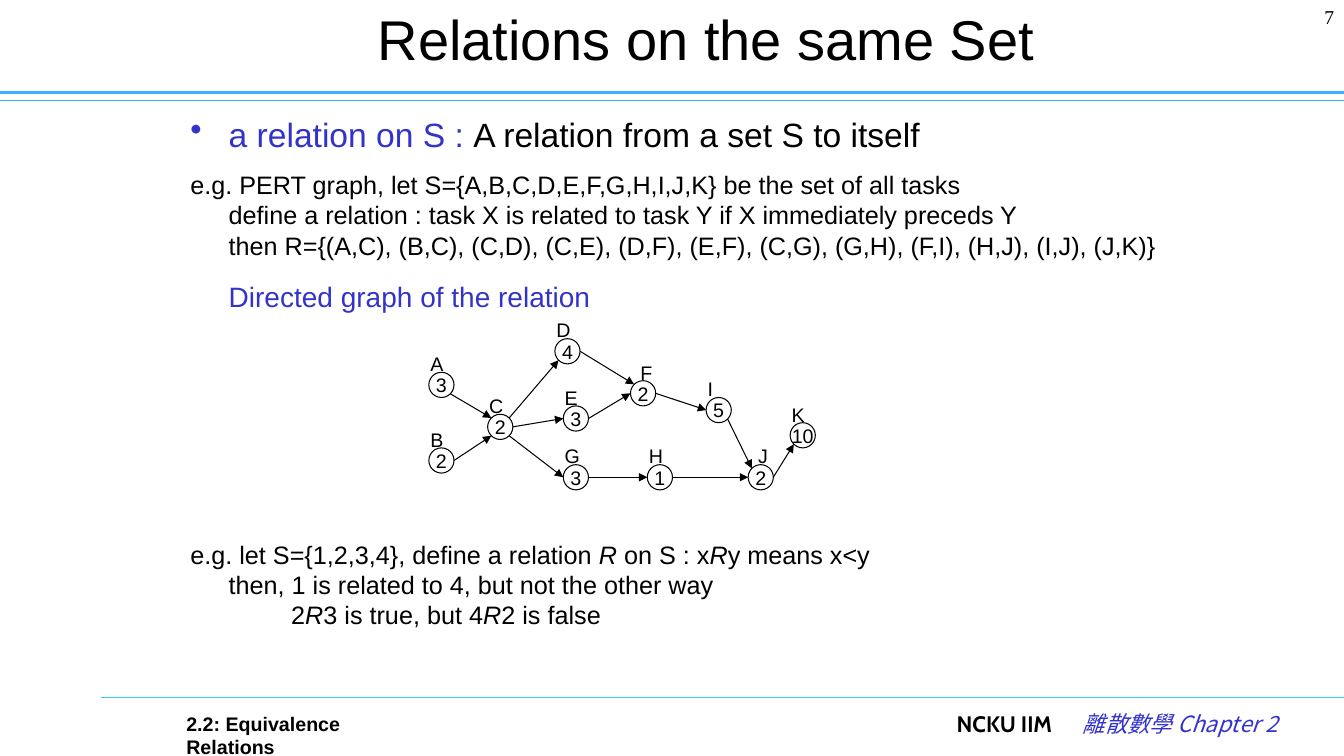
from math import cos, radians, sin

from lxml.etree import SubElement
from pptx import Presentation
from pptx.dml.color import RGBColor
from pptx.enum.shapes import MSO_CONNECTOR, MSO_SHAPE
from pptx.enum.text import MSO_ANCHOR, PP_ALIGN
from pptx.oxml.ns import qn
from pptx.util import Inches, Pt

BLACK = RGBColor(0x00, 0x00, 0x00)
BLUE = RGBColor(0x33, 0x33, 0xCC)
SKY = RGBColor(0x3D, 0xB0, 0xFF)
CYAN = RGBColor(0x33, 0xCC, 0xFF)

UNIT = 1 / 12
SIZE = 3 * UNIT
NODES = {
    "A": (1, 7, 3), "B": (1, 16, 2), "C": (8, 12, 2), "D": (16, 3, 4),
    "E": (17, 11, 3), "F": (25, 8, 2), "G": (17, 18, 3), "H": (27, 18, 1),
    "I": (34, 10, 5), "J": (39, 18, 2), "K": (44, 13, 10),
}
EDGES = {
    "AC": (45, 225), "BC": (0, 135), "CD": (315, 135), "CE": (0, 180),
    "CG": (45, 180), "DF": (0, 225), "EF": (0, 180), "GH": (0, 180),
    "FI": (0, 180), "HJ": (0, 180), "IJ": (45, 225), "JK": (0, 135),
}


def style(thing, values):
    """Set each attribute named in a dict."""
    for key, value in values.items():
        setattr(thing, key, value)


def write(para, text, size, color=BLACK, face="Arial", **more):
    """Append a formatted run to a paragraph."""
    run = para.add_run()
    run.text = text
    style(run.font, {"size": Pt(size), "name": face, **more})
    run.font.color.rgb = color
    SubElement(run.font._element, qn("a:ea"), typeface=face)


def text_box(slide, x, y, w, h, **values):
    """Add a wrapping text box and return its frame."""
    box = slide.shapes.add_textbox(Inches(x), Inches(y), Inches(w), Inches(h))
    style(box.text_frame, {"word_wrap": True, **values})
    return box.text_frame


def draw_line(slide, start, end, color, width, arrow=False):
    """Draw a straight line, with an arrowhead if asked."""
    line = slide.shapes.add_connector(
        MSO_CONNECTOR.STRAIGHT, *(Inches(v) for v in (*start, *end)))
    line.line.color.rgb = color
    line.line.width = Pt(width)
    if arrow:
        SubElement(line.line._get_or_add_ln(), qn("a:tailEnd"), type="triangle")
    SubElement(line._element.spPr, qn("a:effectLst"))


def add_head(slide, x, y, w, h):
    """Place the title, page number and double rule."""
    title = slide.shapes.title
    style(title, {"left": Inches(x + 1.78), "top": Inches(y),
                  "width": Inches(10.44), "height": Inches(0.75)})
    title.text_frame.vertical_anchor = MSO_ANCHOR.MIDDLE
    para = title.text_frame.paragraphs[0]
    para.alignment = PP_ALIGN.CENTER
    write(para, "Relations on the same Set", 40)
    para = text_box(slide, x + w - 1.11, y, 1.11, 0.5).paragraphs[0]
    para.alignment = PP_ALIGN.RIGHT
    write(para, "7", 14, face="Times New Roman")
    for drop, width in ((h, 0.75), (h - 0.08, 2.5)):
        draw_line(slide, (x, y + drop), (x + w, y + drop), SKY, width)


def add_body(slide, x, y, w, h):
    """Write the definition and both examples."""
    rows = [
        (0.38, -0.38, 0, 24, [("a relation on S : ", {"color": BLUE}),
                              ("A relation from a set S to itself", {})]),
        (0.38, -0.38, 11, 18, [("e.g. PERT graph, let S={A,B,C,D,E,F,G,H,I,J,K} "
                                "be the set of all tasks", {})]),
        (0.38, 0, 0, 18, [("define a relation : task X is related to task Y "
                           "if X immediately preceds Y", {})]),
        (0.38, 0, 0, 18, [("then R={(A,C), (B,C), (C,D), (C,E), (D,F), (E,F), "
                           "(C,G), (G,H), (F,I), (H,J), (I,J), (J,K)}", {})]),
        (0.38, 0, 14, 20, [("Directed graph of the relation", {"color": BLUE})]),
        (0.38, -0.38, 161, 18, [("e.g. let S={1,2,3,4}, define a relation ", {}),
                                ("R", {"italic": True}), (" on S : x", {}),
                                ("R", {"italic": True}), ("y means x<y", {})]),
        (0.38, 0, 0, 18, [("then, 1 is related to 4, but not the other way", {})]),
        (1, 0, 0, 18, [("2", {}), ("R", {"italic": True}),
                       ("3 is true, but 4", {}), ("R", {"italic": True}),
                       ("2 is false", {})]),
    ]
    frame = text_box(slide, x, y, w, h)
    for num, (left, hang, gap, size, runs) in enumerate(rows):
        para = frame.add_paragraph() if num else frame.paragraphs[0]
        style(para, {"line_spacing": 1.0, "space_before": Pt(gap)})
        props = para._p.get_or_add_pPr()
        props.set("marL", str(Inches(left)))
        props.set("indent", str(Inches(hang)))
        if num == 0:
            tint = SubElement(SubElement(props, qn("a:buClr")), qn("a:srgbClr"))
            tint.set("val", str(BLUE))
            SubElement(props, qn("a:buChar"), char="•")
        for text, more in runs:
            write(para, text, size, **more)


def add_graph(slide, x, y):
    """Draw the task graph on a grid of twelfths of an inch."""
    mid = {}
    for name, (col, row, days) in NODES.items():
        left, top = x + col * UNIT, y + row * UNIT
        mid[name] = (left + SIZE / 2, top + SIZE / 2)
        node = slide.shapes.add_shape(
            MSO_SHAPE.FLOWCHART_CONNECTOR, Inches(left), Inches(top),
            Inches(SIZE), Inches(SIZE))
        node.shadow.inherit = False
        node.fill.background()
        node.line.color.rgb = BLACK
        node.line.width = Pt(0.75)
        frame = node.text_frame
        style(frame, {"word_wrap": False, "vertical_anchor": MSO_ANCHOR.MIDDLE,
                      "margin_left": 0, "margin_right": 0,
                      "margin_top": 0, "margin_bottom": 0})
        frame.paragraphs[0].alignment = PP_ALIGN.CENTER
        write(frame.paragraphs[0], str(days), 14)
        shift = 0 if name in "FJ" else UNIT
        label = text_box(slide, left - shift, top - SIZE, 0.33, 0.33, margin_right=0)
        write(label.paragraphs[0], name, 14)
    for pair, turns in EDGES.items():
        ends = [(mid[name][0] + SIZE / 2 * cos(radians(turn)),
                 mid[name][1] + SIZE / 2 * sin(radians(turn)))
                for name, turn in zip(pair, turns)]
        draw_line(slide, *ends, BLACK, 0.75, arrow=True)


def add_foot(slide, x, y, w):
    """Place the footer rule, section name and course name."""
    draw_line(slide, (x + 1, y), (x + w, y), CYAN, 0.75)
    frame = text_box(slide, x + 1.75, y + 0.09, 2.6, 0.33)
    write(frame.paragraphs[0], "2.2: Equivalence Relations", 14, bold=True)
    frame = text_box(slide, x + 2.44, y + 0.08, 10.38, 0.5, margin_right=0)
    para = frame.paragraphs[0]
    tabs = SubElement(para._p.get_or_add_pPr(), qn("a:tabLst"))
    for stop in (6.95, 8.2):
        SubElement(tabs, qn("a:tab"), pos=str(Inches(stop)), algn="l")
    write(para, "\tNCKU IIM\t", 16, face="Cabin", bold=True)
    write(para, "離散數學 Chapter 2", 16, BLUE, "Noto Sans CJK SC", italic=True)


def main():
    """Build and save the slide."""
    deck = Presentation()
    style(deck, {"slide_width": Inches(13.33), "slide_height": Inches(7.5)})
    slide = deck.slides.add_slide(deck.slide_layouts[5])
    add_head(slide, 0, 0, 13.33, 1)
    add_body(slide, 1.79, 1.08, 9.93, 5.92)
    add_graph(slide, 4.17, 3.11)
    add_foot(slide, 0, 6.92, 13.33)
    deck.save("out.pptx")


if __name__ == "__main__":
    main()
